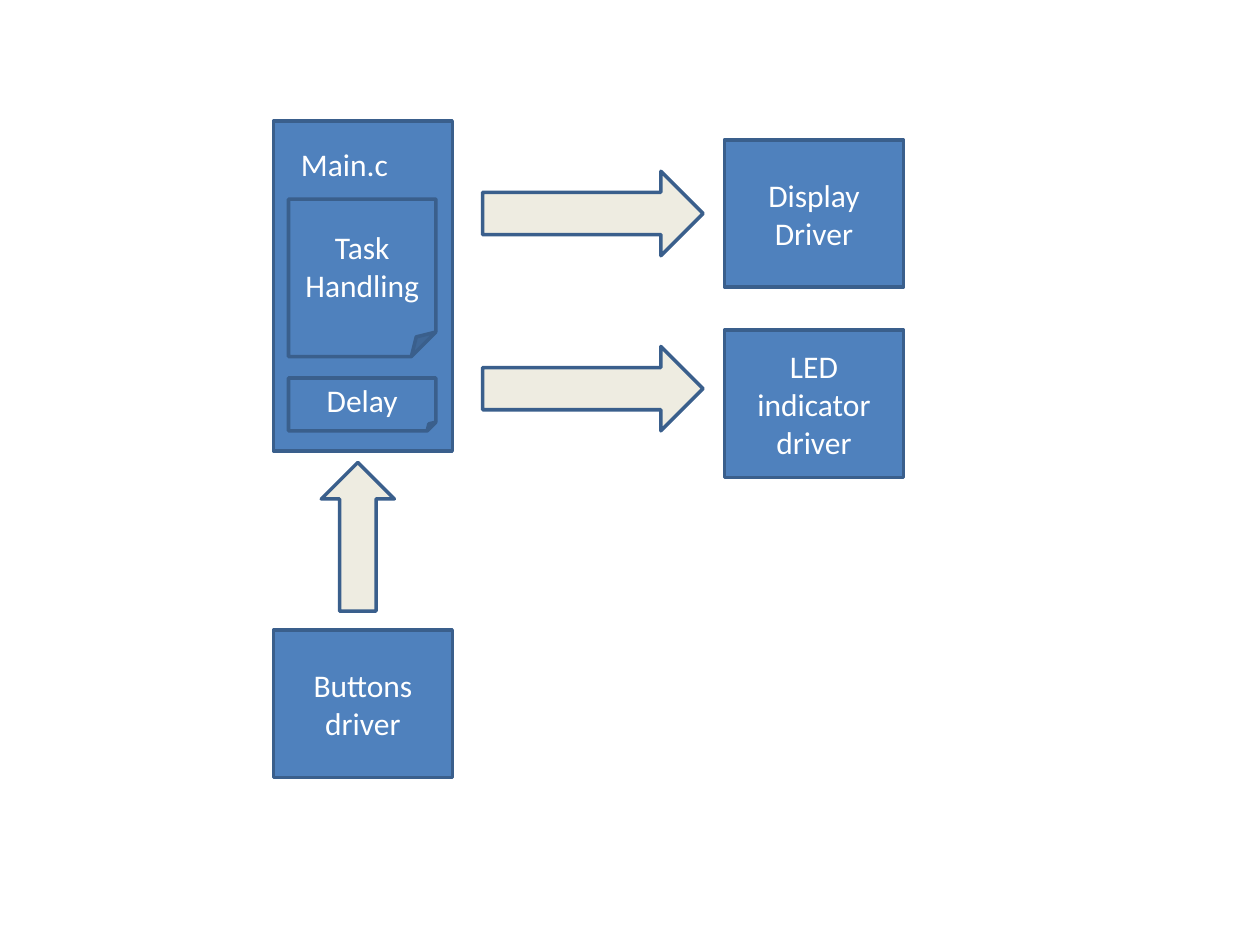
from pptx import Presentation
from pptx.dml.color import RGBColor
from pptx.enum.shapes import MSO_SHAPE as Shape
from pptx.enum.text import MSO_ANCHOR as Anchor, PP_ALIGN as Align
from pptx.util import Inches, Pt

COLORS = {"block": "4F81BD", "outline": "3A5F8C", "arrow": "EEECE1", "text": "FFFFFF"}


def write(tf, text, size=18, font="Calibri", color="text", align=Align.CENTER, anchor=Anchor.MIDDLE):
    tf.word_wrap = True
    tf.vertical_anchor = anchor
    p = tf.paragraphs[0]
    p.alignment = align
    r = p.add_run()
    r.text = text
    r.font.size = Pt(size)
    r.font.name = font
    r.font.color.rgb = RGBColor.from_string(COLORS[color])


class Diagram:
    line_width = 2

    def __init__(self, slide):
        self.s = slide

    def shape(self, kind, x, y, w, h, fill, text=None):
        sp = self.s.shapes.add_shape(kind, Inches(x), Inches(y), Inches(w), Inches(h))
        sp.shadow.inherit = False
        sp.fill.solid()
        sp.fill.fore_color.rgb = RGBColor.from_string(COLORS[fill])
        sp.line.color.rgb = RGBColor.from_string(COLORS["outline"])
        sp.line.width = Pt(self.line_width)
        if text:
            write(sp.text_frame, text)

    def block(self, x, y, h=1.17, text=None):
        self.shape(Shape.RECTANGLE, x, y, 1.42, h, "block", text)

    def task(self, y, h, text):
        self.shape(Shape.FOLDED_CORNER, 2.29, y, 1.17, h, "block", text)

    def arrow(self, kind, x, y, w, h):
        self.shape(kind, x, y, w, h, "arrow")

    def label(self, x, y, w, h, text):
        sp = self.s.shapes.add_textbox(Inches(x), Inches(y), Inches(w), Inches(h))
        write(sp.text_frame, text, align=Align.LEFT, anchor=Anchor.TOP)


prs = Presentation()
prs.slide_width, prs.slide_height = Inches(10), Inches(7.5)
d = Diagram(prs.slides.add_slide(prs.slide_layouts[6]))

main_x, driver_x = 2.17, 5.75
d.block(main_x, 0.96, h=2.62)
for x, y, text in [
    (driver_x, 1.11, "Display Driver"),
    (driver_x, 2.62, "LED indicator driver"),
    (main_x, 5, "Buttons driver"),
]:
    d.block(x, y, text=text)

d.label(2.29, 1.1, 1.17, 0.4, "Main.c")

for y in (2.75, 1.36):
    d.arrow(Shape.RIGHT_ARROW, 3.83, y, 1.75, 0.67)
d.arrow(Shape.UP_ARROW, 2.55, 3.67, 0.58, 1.18)

d.task(3, 0.42, "Delay")
d.task(1.58, 1.25, "Task Handling")

prs.save("out.pptx")
